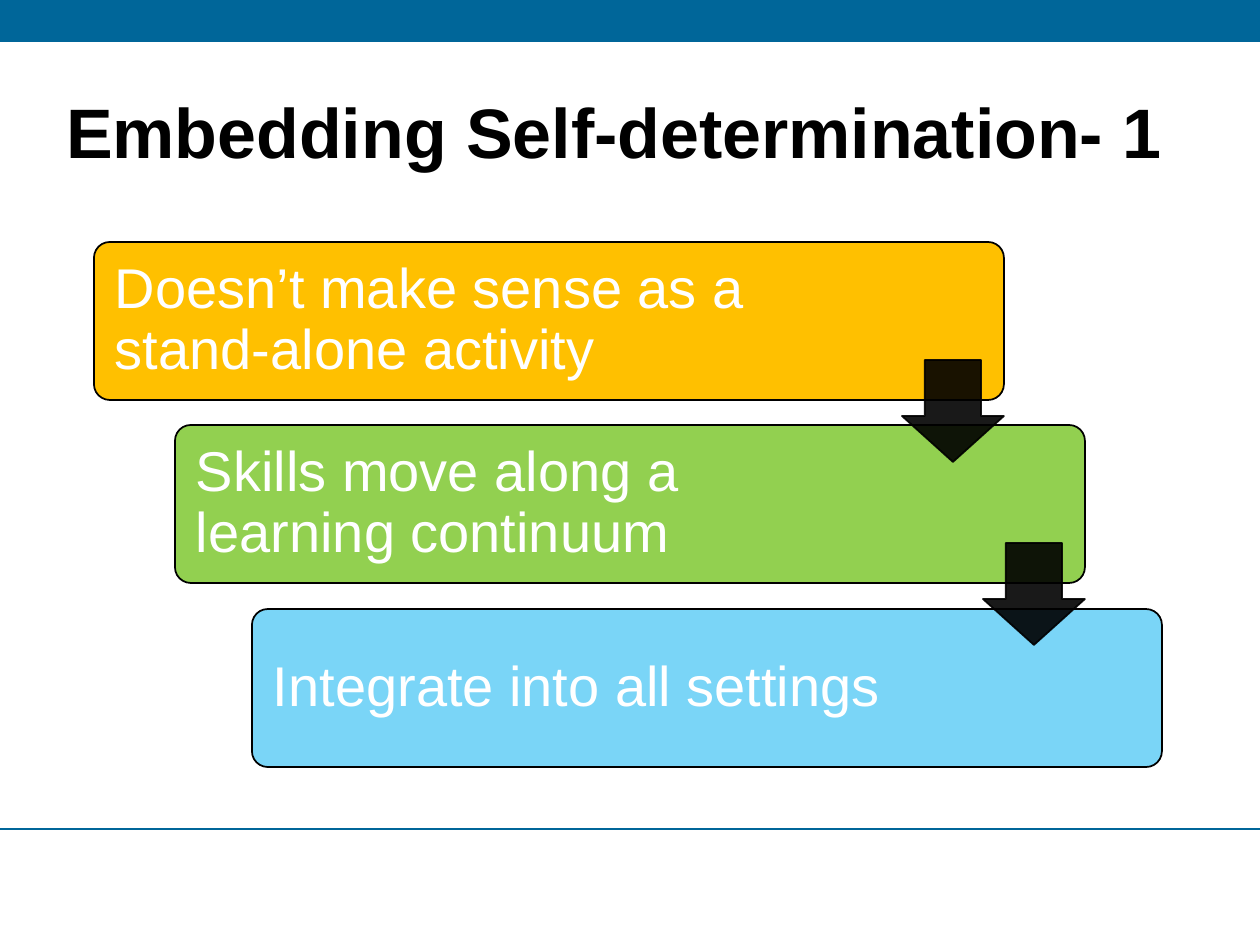
from dataclasses import dataclass

from lxml import etree
from pptx import Presentation
from pptx import util as u
from pptx.dml.color import RGBColor
from pptx.enum import shapes, text
from pptx.oxml.ns import qn

SCALE = u.Inches(1) / 126
WIDE, HIGH = 1260, 945
BOX_W, BOX_H = 910, 158
ARROW = 102
DROP = 118
EDGE = 5
PAD = 16


@dataclass
class Step:
    label: str
    x: int
    y: int
    fill: str
    text_w: int
    alpha: int = 100


STEPS = [
    Step("Doesn’t make sense as a stand-alone activity", 94, 242, "FFC000", 741),
    Step("Skills move along a learning continuum", 175, 425, "92D050", 718),
    Step("Integrate into all settings", 252, 609, "00B0F0", 718, 52),
]


def px(n: int) -> u.Emu:
    return u.Emu(round(n * SCALE))


def rgb(code: str) -> RGBColor:
    return RGBColor.from_string(code)


def fade(fill, alpha: int) -> None:
    fill.solid()
    fill.fore_color.rgb = rgb("000000") if fill.fore_color.type is None else fill.fore_color.rgb


def set_alpha(node, alpha: int) -> None:
    if alpha < 100:
        color = node.find(qn("a:solidFill")).find(qn("a:srgbClr"))
        etree.SubElement(color, qn("a:alpha"), val=str(alpha * 1000))


def add_form(slide, kind, x: int, y: int, w: int, h: int, fill: str, alpha: int = 100):
    form = slide.shapes.add_shape(kind, px(x), px(y), px(w), px(h))
    form.shadow.inherit = False
    form.fill.solid()
    form.fill.fore_color.rgb = rgb(fill)
    set_alpha(form._element.spPr, alpha)
    return form


def outline(form, alpha: int = 100) -> None:
    form.line.width = u.Pt(1)
    form.line.color.rgb = rgb("000000")
    set_alpha(form._element.spPr.find(qn("a:ln")), alpha)


def add_text(slide, words: str, x: int, y: int, w: int, h: int, size: int, color: str):
    frame = slide.shapes.add_textbox(px(x), px(y), px(w), px(h)).text_frame
    frame.word_wrap = True
    frame.vertical_anchor = text.MSO_ANCHOR.MIDDLE
    para = frame.paragraphs[0]
    para.text = words
    para.font.name = "Arial"
    para.font.size = u.Pt(size)
    para.font.color.rgb = rgb(color)
    return frame


def add_step(slide, step: Step) -> None:
    box = add_form(slide, shapes.MSO_SHAPE.ROUNDED_RECTANGLE,
                   step.x, step.y, BOX_W, BOX_H, step.fill, step.alpha)
    box.adjustments[0] = 0.1
    outline(box)
    frame = add_text(slide, step.label, step.x + EDGE, step.y + EDGE,
                     step.text_w, BOX_H - 2 * EDGE, 32, "FFFFFF")
    frame.margin_left = frame.margin_right = px(PAD)
    frame.margin_top = frame.margin_bottom = px(PAD)
    frame.paragraphs[0].line_spacing = 0.9


def add_arrow(slide, step: Step) -> None:
    arrow = add_form(slide, shapes.MSO_SHAPE.DOWN_ARROW, step.x + BOX_W - ARROW,
                     step.y + DROP, ARROW, ARROW, "000000", 90)
    arrow.adjustments[0] = 0.55
    arrow.adjustments[1] = 0.45
    outline(arrow, 90)


def add_rule(slide, y: int) -> None:
    rule = slide.shapes.add_connector(shapes.MSO_CONNECTOR.STRAIGHT,
                                      px(0), px(y), px(WIDE), px(y))
    rule.line.width = u.Pt(0.75)
    rule.line.color.rgb = rgb("006699")
    etree.SubElement(rule._element.spPr, qn("a:effectLst"))


def main() -> None:
    deck = Presentation()
    deck.slide_width, deck.slide_height = px(WIDE), px(HIGH)
    slide = deck.slides.add_slide(deck.slide_layouts[6])

    band = add_form(slide, shapes.MSO_SHAPE.RECTANGLE, 0, 0, WIDE, 42, "006699")
    band.line.fill.background()
    add_rule(slide, 829)

    title = add_text(slide, "Embedding Self-determination- 1",
                     31, 73, 1166, 116, 40, "000000").paragraphs[0]
    title.alignment = text.PP_ALIGN.CENTER
    title.font.bold = True

    for step in STEPS:
        add_step(slide, step)
    for step in STEPS[:-1]:
        add_arrow(slide, step)

    deck.save("out.pptx")


if __name__ == "__main__":
    main()
